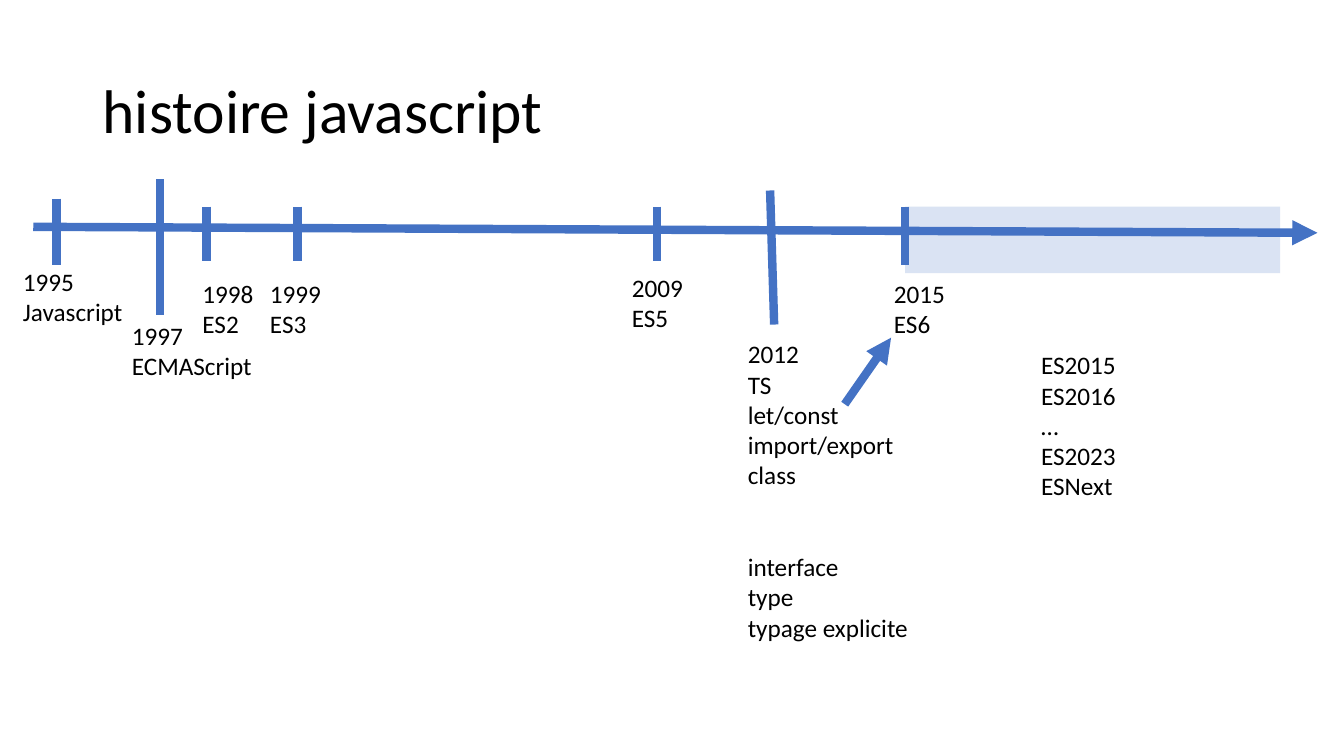
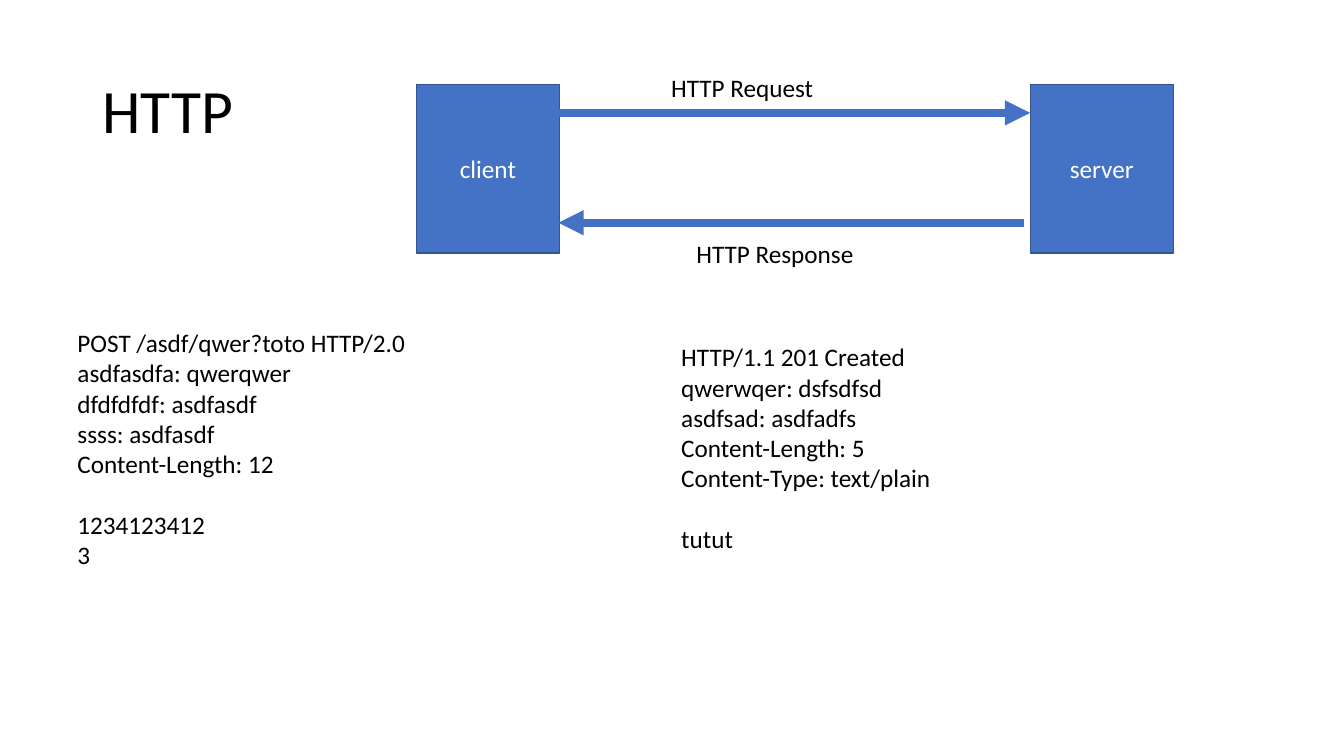
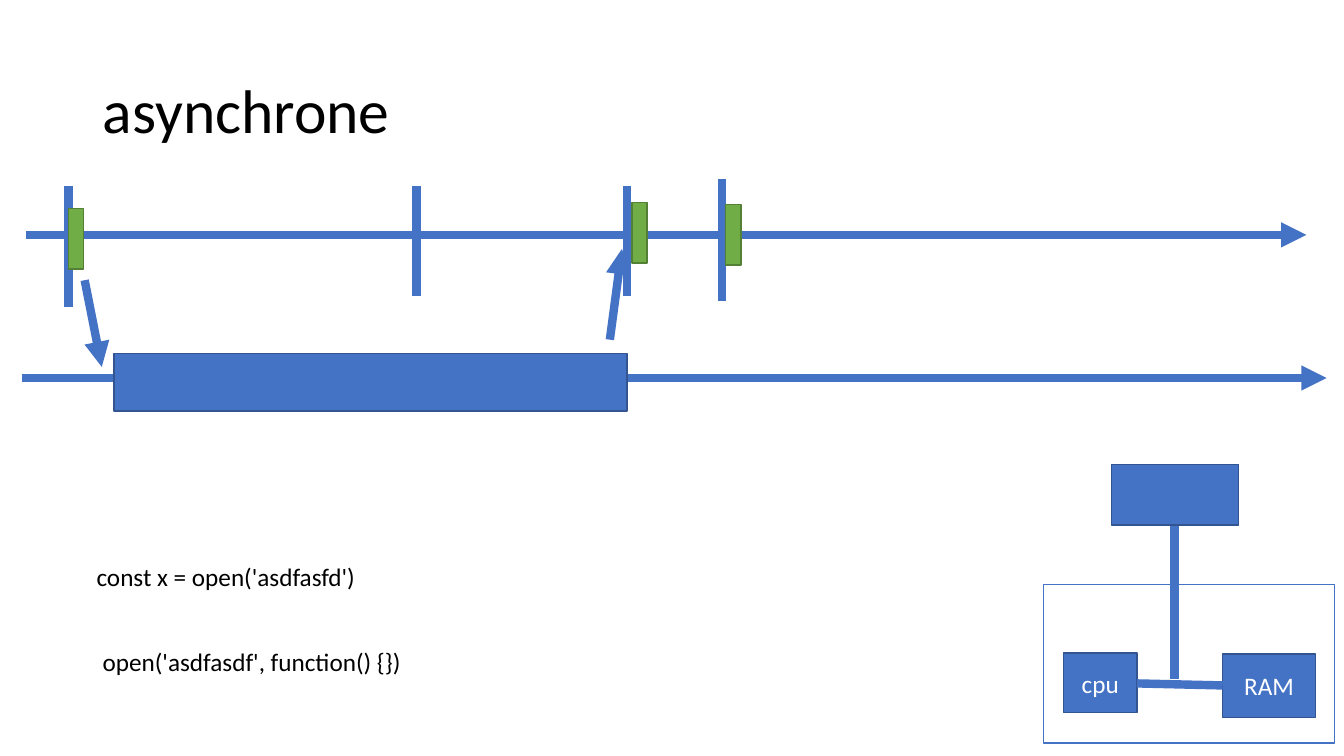
import pptx
import pptx.dml.color
import pptx.enum.shapes
import pptx.enum.text
import pptx.oxml.ns
import pptx.util
from lxml import etree

COLUMNS, ROWS = 133.33, 75
CELL = 0.1  # inches, the side of one grid square

BLUE, DARK_BLUE, PALE_BLUE = "4472C4", "325491", "DAE3F3"
GREEN, DARK_GREEN = "70AD47", "538035"
WHITE, BLACK = "FFFFFF", "000000"


def color(value):
    return pptx.dml.color.RGBColor.from_string(value)


def grid(cells):
    """Turn grid columns or rows into a length."""
    return pptx.util.Inches(cells * CELL)


class Deck:
    """Holds the shared style and the current slide; places are in grid cells."""

    font = "Calibri"
    title_size, body_size = 44, 18
    line_height = 22
    stroke = 6

    def __init__(self):
        self.presentation = pptx.Presentation()
        self.presentation.slide_width = grid(COLUMNS)
        self.presentation.slide_height = grid(ROWS)
        self.slide = None

    def add_slide(self, title):
        layout = self.presentation.slide_layouts[6]
        self.slide = self.presentation.slides.add_slide(layout)
        box = self.slide.shapes.add_textbox(grid(9.2), grid(4), grid(115), grid(14.5))
        text_frame = box.text_frame
        text_frame.word_wrap = True
        text_frame.vertical_anchor = pptx.enum.text.MSO_ANCHOR.MIDDLE
        text_frame.text = title
        text_frame.paragraphs[0].line_spacing = 0.9
        self.format_runs(text_frame, self.title_size, BLACK)

    def format_runs(self, text_frame, size, ink):
        for paragraph in text_frame.paragraphs:
            for run in paragraph.runs:
                run.font.name = self.font
                run.font.size = pptx.util.Pt(size)
                run.font.color.rgb = color(ink)

    def text(self, left, top, width, *groups, gap=1):
        """Write groups of lines, with a gap counted in lines between groups."""
        lines = [line for group in groups for line in group]
        line_count = len(lines) + gap * (len(groups) - 1)
        height = 1 + line_count * self.line_height / 72 / CELL
        box = self.slide.shapes.add_textbox(grid(left), grid(top), grid(width), grid(height))
        text_frame = box.text_frame
        text_frame.word_wrap = False
        text_frame.auto_size = pptx.enum.text.MSO_AUTO_SIZE.SHAPE_TO_FIT_TEXT
        text_frame.text = "\n".join(lines)
        self.format_runs(text_frame, self.body_size, BLACK)
        start = 0
        for group in groups[:-1]:
            start += len(group)
            paragraph = text_frame.paragraphs[start]
            paragraph.space_before = pptx.util.Pt(gap * self.line_height)

    def box(self, left, top, width, height, label="", fill=BLUE, outline=DARK_BLUE):
        shape = self.slide.shapes.add_shape(
            pptx.enum.shapes.MSO_SHAPE.RECTANGLE,
            grid(left), grid(top), grid(width), grid(height))
        shape.shadow.inherit = False
        shape.fill.solid()
        shape.fill.fore_color.rgb = color(fill)
        if outline:
            shape.line.color.rgb = color(outline)
            shape.line.width = pptx.util.Pt(1)
        else:
            shape.line.fill.background()
        if label:
            text_frame = shape.text_frame
            text_frame.text = label
            text_frame.vertical_anchor = pptx.enum.text.MSO_ANCHOR.MIDDLE
            text_frame.paragraphs[0].alignment = pptx.enum.text.PP_ALIGN.CENTER
            self.format_runs(text_frame, self.body_size, WHITE)

    def line(self, start_x, start_y, end_x, end_y, arrow=False):
        connector = self.slide.shapes.add_connector(
            pptx.enum.shapes.MSO_CONNECTOR.STRAIGHT,
            grid(start_x), grid(start_y), grid(end_x), grid(end_y))
        connector.line.color.rgb = color(BLUE)
        connector.line.width = pptx.util.Pt(self.stroke)
        if arrow:
            outline = connector.line._get_or_add_ln()
            etree.SubElement(outline, pptx.oxml.ns.qn("a:tailEnd"), type="triangle")
        properties = connector._element.spPr
        etree.SubElement(properties, pptx.oxml.ns.qn("a:effectLst"))

    def arrow(self, start_x, start_y, end_x, end_y):
        self.line(start_x, start_y, end_x, end_y, arrow=True)

    def tick(self, x, top, bottom):
        self.line(x, top, x, bottom)


def add_history(deck):
    deck.add_slide("histoire javascript")
    deck.box(89.8, 20.5, 37.2, 6.6, fill=PALE_BLUE, outline=None)
    deck.arrow(3.3, 22.5, 130.7, 23.1)
    events = [  # tick x, top, bottom; label left, top, width; year, name
        (5.6, 19.7, 26.3, 1.3, 25.9, 12, "1995", "Javascript"),
        (15.9, 17.8, 31.3, 12.1, 31.3, 14, "1997", "ECMAScript"),
        (20.5, 20.5, 25.9, 19.1, 27.1, 7.1, "1998", "ES2"),
        (29.5, 20.5, 25.9, 25.8, 27.1, 7.1, "1999", "ES3"),
        (65.2, 20.5, 25.9, 61.7, 26.5, 7.1, "2009", "ES5"),
        (89.8, 20.5, 26.3, 87.7, 27.1, 7.1, "2015", "ES6"),
    ]
    for x, tick_top, tick_bottom, left, top, width, year, name in events:
        deck.tick(x, tick_top, tick_bottom)
        deck.text(left, top, width, [year, name])
    deck.line(76.4, 18.9, 76.8, 32.2)
    deck.text(73.2, 33.1, 18.1,
              ["2012", "TS", "let/const", "import/export", "class"],
              ["interface", "type", "typage explicite"], gap=2)
    deck.arrow(83.8, 40.1, 88.4, 33.5)
    deck.text(102.3, 34.2, 9.5, ["ES2015", "ES2016", "…", "ES2023", "ESNext"])


def add_http(deck):
    deck.add_slide("HTTP")
    for left, label in [(41.3, "client"), (102.2, "server")]:
        deck.box(left, 8.4, 14.2, 16.7, label)
    deck.arrow(55.4, 11.2, 102.2, 11.2)
    deck.arrow(101.6, 22.1, 55.4, 22.1)
    deck.text(65.6, 6.7, 16.3, ["HTTP Request"])
    deck.text(68.1, 23.2, 17.8, ["HTTP Response"])
    deck.text(6.7, 32, 34.8,
              ["POST /asdf/qwer?toto HTTP/2.0", "asdfasdfa: qwerqwer",
               "dfdfdfdf: asdfasdf", "ssss: asdfasdf", "Content-Length: 12"],
              ["1234123412", "3"])
    deck.text(66.6, 33.4, 27.1,
              ["HTTP/1.1 201 Created", "qwerwqer: dsfsdfsd", "asdfsad: asdfadfs",
               "Content-Length: 5", "Content-Type: text/plain"],
              ["tutut"])


def add_asynchronous(deck):
    deck.add_slide("asynchrone")
    deck.arrow(2.6, 23.3, 129.6, 23.3)
    for x, top, bottom in [(6.8, 18.5, 30.5), (41.3, 18.5, 29.4), (71.6, 17.8, 29.9)]:
        deck.tick(x, top, bottom)

    deck.arrow(2.2, 37.5, 131.6, 37.5)
    deck.arrow(8.4, 27.8, 10.1, 36.4)
    deck.box(11.3, 35.1, 50.9, 5.7)
    deck.arrow(60.5, 33.7, 61.7, 24.7)
    deck.tick(62.2, 18.5, 29.4)
    for left, top in [(6.8, 20.7), (62.7, 20.1), (72, 20.3)]:
        deck.box(left, top, 1.5, 6, fill=GREEN, outline=DARK_GREEN)

    deck.box(103.5, 58, 28.9, 15.7, fill=WHITE, outline=BLUE)
    deck.box(105.5, 64.8, 7.3, 5.9, "cpu")
    deck.box(121.3, 64.9, 9.2, 6.3, "RAM")
    deck.line(112.8, 67.8, 121.3, 68)
    deck.tick(116.5, 52.1, 67.4)
    deck.box(110.3, 46.1, 12.6, 6)

    deck.text(8.6, 55.2, 28.6, ["const x = open('asdfasfd')"])
    deck.text(9.2, 63.6, 32, ["open('asdfasdf', function() {})"])


def main():
    deck = Deck()
    add_history(deck)
    add_http(deck)
    add_asynchronous(deck)
    deck.presentation.save("out.pptx")


if __name__ == "__main__":
    main()
